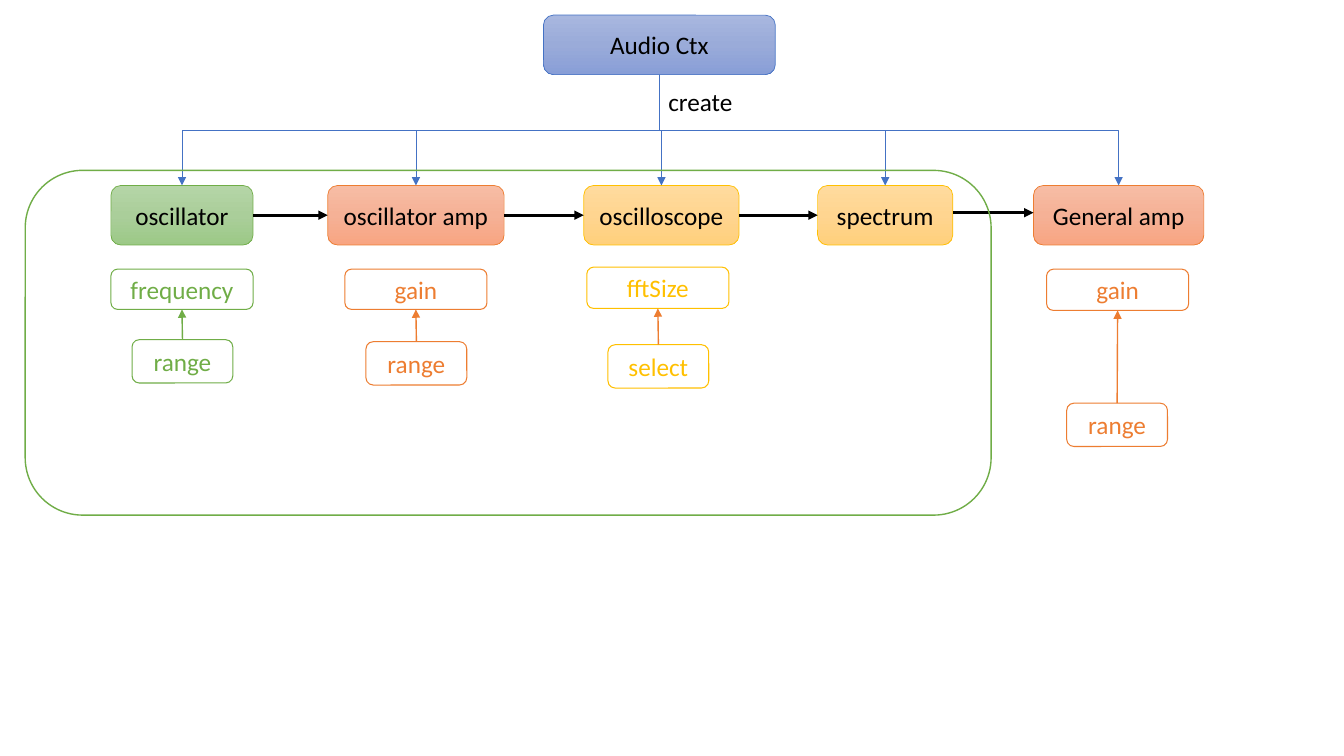
from copy import deepcopy
from dataclasses import dataclass

from lxml.etree import SubElement
from pptx import Presentation
from pptx.dml.color import RGBColor
from pptx.enum.shapes import MSO_CONNECTOR as Link, MSO_SHAPE as Preset
from pptx.enum.text import MSO_ANCHOR as Anchor, PP_ALIGN as Align
from pptx.oxml.ns import qn
from pptx.shapes.autoshape import Shape
from pptx.shapes.connector import Connector
from pptx.util import Inches, Pt

COLORS = {"black": "000000", "blue": "4472C4", "orange": "ED7D31",
          "green": "70AD47", "yellow": "FFC000"}
GRADIENTS = {
    "blue": ("A8B7DF", "9AABD9", "889ED7"),
    "orange": ("F7BDA5", "F5B196", "F8A582"),
    "green": ("B5D5A7", "AACE9A", "9CC987"),
    "yellow": ("FFDB9E", "FFD590", "FFD07C"),
}
FONT_FORMAT = {"name": "Calibri", "size": Pt(18)}
TOP, LEFT, BOTTOM, RIGHT = range(4)
NODE_TOP, NODE_HEIGHT = 1.84, 0.59
PARAMETER_WIDTH, CONTROL_WIDTH, CONTROL_HEIGHT = 1.41, 1.0, 0.43


@dataclass
class Node:
    text: str
    left: float
    width: float
    color: str
    top: float = NODE_TOP


@dataclass
class Parameter:
    """An audio setting and the input control that drives it."""
    text: str
    left: float
    top: float
    height: float
    control: str
    control_left: float
    control_top: float
    color: str


AUDIO_CONTEXT = Node("Audio Ctx", 5.39, 2.3, "blue", 0.15)
NODES = [
    Node("oscillator", 1.1, 1.41, "green"),
    Node("oscillator amp", 3.25, 1.75, "orange"),
    Node("oscilloscope", 5.79, 1.54, "yellow"),
    Node("spectrum", 8.11, 1.34, "yellow"),
    Node("General amp", 10.25, 1.69, "orange"),
]
PARAMETERS = [
    Parameter("frequency", 1.1, 2.67, 0.4, "range", 1.31, 3.37, "green"),
    Parameter("gain", 3.42, 2.67, 0.4, "range", 3.63, 3.39, "orange"),
    Parameter("fftSize", 5.82, 2.65, 0.41, "select", 6.03, 3.42, "yellow"),
    Parameter("gain", 10.38, 2.67, 0.41, "range", 10.58, 4.0, "orange"),
]

presentation = Presentation()
presentation.slide_width, presentation.slide_height = Inches(13.33), Inches(7.5)
slide = presentation.slides.add_slide(presentation.slide_layouts[6])


def rgb(color: str) -> RGBColor:
    return RGBColor.from_string(COLORS[color])


def write(shape: Shape, text: str, color: str) -> None:
    run = shape.text_frame.paragraphs[0].add_run()
    run.text = text
    for name, value in FONT_FORMAT.items():
        setattr(run.font, name, value)
    run.font.color.rgb = rgb(color)


def add_box(left: float, top: float, width: float, height: float,
            color: str, line_width: float, text: str = "") -> Shape:
    """Add an unfilled rounded box, with centred text in the outline colour."""
    shape = slide.shapes.add_shape(Preset.ROUNDED_RECTANGLE, Inches(left), Inches(top),
                                   Inches(width), Inches(height))
    shape.shadow.inherit = False
    shape.fill.background()
    shape.line.color.rgb = rgb(color)
    shape.line.width = Pt(line_width)
    if text:
        shape.text_frame.vertical_anchor = Anchor.MIDDLE
        shape.text_frame.paragraphs[0].alignment = Align.CENTER
        write(shape, text, color)
    return shape


def add_node(node: Node) -> Shape:
    shape = add_box(node.left, node.top, node.width, NODE_HEIGHT, node.color, 0.5, node.text)
    shape.text_frame.paragraphs[0].runs[0].font.color.rgb = rgb("black")
    shape.fill.gradient()
    shape.fill.gradient_angle = 270
    stop_list = shape._element.spPr.find(qn("a:gradFill")).find(qn("a:gsLst"))
    stop_list.insert(1, deepcopy(stop_list[0]))
    for index, (stop, value) in enumerate(zip(shape.fill.gradient_stops, GRADIENTS[node.color])):
        stop.position = index / 2
        stop.color.rgb = RGBColor.from_string(value)
    return shape


def add_arrow(kind: Link, start: tuple[int, int], end: tuple[int, int],
              color: str, line_width: float) -> Connector:
    connector = slide.shapes.add_connector(kind, *start, *end)
    connector.line.color.rgb = rgb(color)
    connector.line.width = Pt(line_width)
    SubElement(connector.line._get_or_add_ln(), qn("a:tailEnd"), type="triangle")
    SubElement(connector._element.spPr, qn("a:effectLst"))
    return connector


def join(connector: Connector, start: Shape, start_side: int, end: Shape, end_side: int) -> None:
    connector.begin_connect(start, start_side)
    connector.end_connect(end, end_side)


def add_branch(parent: Shape, child: Shape) -> None:
    """Add an elbow that runs down, across and down again."""
    start_x, start_y = parent.left + parent.width // 2, parent.top + parent.height
    end_x, end_y = child.left + child.width // 2, child.top
    branch = add_arrow(Link.ELBOW, (start_x, start_y), (end_x, end_y), "blue", 0.5)
    join(branch, parent, BOTTOM, child, TOP)
    # The elbow is stored lying down and turned a quarter about its centre.
    length, spread = end_y - start_y, abs(end_x - start_x)
    geometry = {"left": (start_x + end_x - length) // 2, "top": (start_y + end_y - spread) // 2,
                "width": length, "height": spread}
    for name, value in geometry.items():
        setattr(branch, name, value)
    goes_right = end_x > start_x
    turn = {"rot": str((270 if goes_right else 90) * 60000),
            "flipH": str(int(goes_right)), "flipV": "0"}
    for name, value in turn.items():
        branch._element.spPr.xfrm.set(name, value)


def add_parameter(parameter: Parameter) -> None:
    box = add_box(parameter.left, parameter.top, PARAMETER_WIDTH, parameter.height,
                  parameter.color, 0.75, parameter.text)
    control = add_box(parameter.control_left, parameter.control_top, CONTROL_WIDTH,
                      CONTROL_HEIGHT, parameter.color, 0.75, parameter.control)
    arrow_color = "green" if parameter.color == "green" else "orange"
    arrow = add_arrow(Link.STRAIGHT, (control.left, control.top), (box.left, box.top),
                      arrow_color, 1)
    join(arrow, control, TOP, box, BOTTOM)


def main() -> None:
    audio_context = add_node(AUDIO_CONTEXT)
    nodes = [add_node(node) for node in NODES]

    chain = nodes[:-1]
    for source, target in zip(chain, chain[1:]):
        arrow = add_arrow(Link.STRAIGHT, (source.left, source.top), (target.left, target.top),
                          "black", 2.25)
        join(arrow, source, RIGHT, target, LEFT)
    output_y = Inches(2.11)
    add_arrow(Link.STRAIGHT, (chain[-1].left + chain[-1].width, output_y),
              (nodes[-1].left, output_y), "black", 2.25)

    for node in nodes:
        add_branch(audio_context, node)
    label = slide.shapes.add_textbox(Inches(6.53), Inches(0.81), Inches(0.85), Inches(0.4))
    label.text_frame.word_wrap = False
    write(label, "create", "black")

    add_box(0.25, 1.69, 9.58, 3.42, "green", 1)
    for parameter in PARAMETERS:
        add_parameter(parameter)
    presentation.save("out.pptx")


if __name__ == "__main__":
    main()
